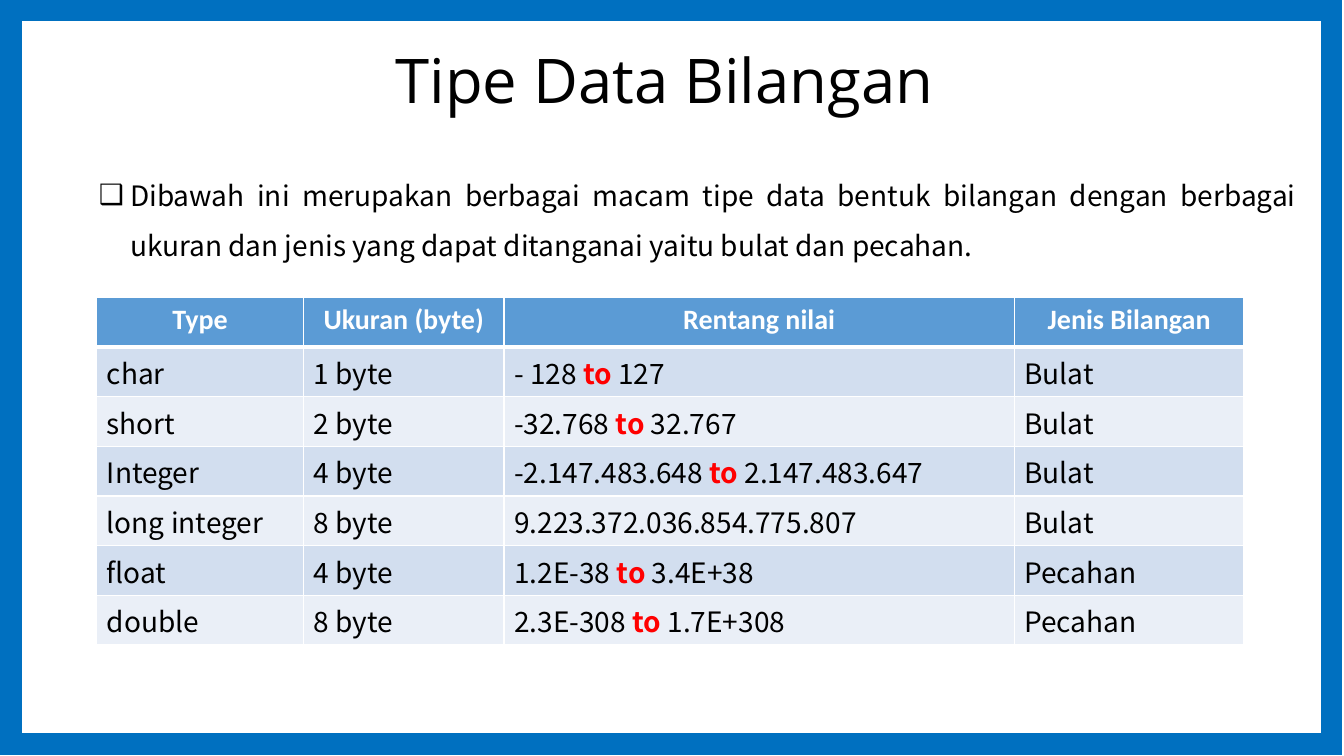
from lxml.etree import SubElement as Sub
from pptx import Presentation
from pptx.dml.color import RGBColor as Rgb
from pptx.enum.shapes import MSO_SHAPE as Shape
from pptx.enum.text import MSO_ANCHOR as Anchor, MSO_AUTO_SIZE as Fit, PP_ALIGN as Align
from pptx.oxml.ns import qn
from pptx.util import Inches, Pt

HUE = {"frame": "0070C0", "head": "5B9BD5", "odd": "D2DEEF", "even": "EAEFF7",
       "text": "000000", "mark": "FF0000", "white": "FFFFFF"}
SANS = "Noto Sans CJK JP"
HEAD = {"name": "Calibri", "size": Pt(20), "bold": True, "hue": "white"}
BODY = {"name": SANS, "size": Pt(20), "bold": False, "hue": "text"}
MARK = {**BODY, "bold": True, "hue": "mark"}
TITLE = {**BODY, "name": "Open Sans", "size": Pt(44)}
COLS = [2.05, 1.99, 5.06, 2.28]
ROWS = [
    ["Type", "Ukuran (byte)", "Rentang nilai", "Jenis Bilangan"],
    ["char", "1 byte", "- 128 to 127", "Bulat"],
    ["short", "2 byte", "-32.768 to 32.767", "Bulat"],
    ["Integer", "4 byte", "-2.147.483.648 to 2.147.483.647", "Bulat"],
    ["long integer", "8 byte", "9.223.372.036.854.775.807", "Bulat"],
    ["float", "4 byte", "1.2E-38 to 3.4E+38", "Pecahan"],
    ["double", "8 byte", "2.3E-308 to 1.7E+308", "Pecahan"],
]
INTRO = ("Dibawah ini merupakan berbagai macam tipe data bentuk bilangan dengan "
         "berbagai ukuran dan jenis yang dapat ditanganai yaitu bulat dan pecahan.")


def put(obj, form):
    """Set each attribute of obj from the format dict."""
    for key, val in form.items():
        if key == "hue":
            obj.color.rgb = Rgb.from_string(HUE[val])
        else:
            setattr(obj, key, val)


def write(para, text, form):
    """Add a run of formatted text to the paragraph."""
    run = para.add_run()
    run.text = text
    put(run.font, form)


def place(shape, box):
    """Move the shape to the box, given in inches."""
    put(shape, dict(zip(("left", "top", "width", "height"), map(Inches, box))))


def paint(fill, hue):
    """Fill with a solid colour."""
    fill.solid()
    fill.fore_color.rgb = Rgb.from_string(HUE[hue])


def edge(cell, low):
    """Draw white cell borders, the bottom one low points wide."""
    props = cell._tc.get_or_add_tcPr()
    for spot, (side, wide) in enumerate({"L": 1, "R": 1, "T": 1, "B": low}.items()):
        line = Sub(props, qn(f"a:ln{side}"), w=str(Pt(wide)))
        Sub(Sub(line, qn("a:solidFill")), qn("a:srgbClr"), val=HUE["white"])
        props.insert(spot, line)


def add_title(slide, box):
    """Place the slide title."""
    title = slide.shapes.title
    place(title, box)
    put(title.text_frame, {"vertical_anchor": Anchor.MIDDLE, "auto_size": Fit.NONE})
    para = title.text_frame.paragraphs[0]
    put(para, {"alignment": Align.CENTER, "line_spacing": 0.9})
    write(para, "Tipe Data Bilangan", TITLE)


def add_intro(slide, box):
    """Place the bulleted introduction."""
    body = slide.placeholders[1]
    place(body, box)
    put(body.text_frame, {"word_wrap": True, "auto_size": Fit.SHAPE_TO_FIT_TEXT})
    para = body.text_frame.paragraphs[0]
    put(para, {"alignment": Align.JUSTIFY, "line_spacing": 1.5, "space_before": Pt(0)})
    write(para, INTRO, BODY)
    props = para._p.get_or_add_pPr()
    props.set("marL", str(Inches(0.81)))
    props.set("indent", str(Inches(-0.31)))
    Sub(props, qn("a:buChar"), char="❑")


def add_types(slide, box):
    """Place the table of number types."""
    grid = slide.shapes.add_table(len(ROWS), len(COLS), *map(Inches, box)).table
    for col, wide in zip(grid.columns, COLS):
        col.width = Inches(wide)
    for r, row in enumerate(ROWS):
        for c, text in enumerate(row):
            cell = grid.cell(r, c)
            paint(cell.fill, "head" if r == 0 else "odd" if r % 2 else "even")
            edge(cell, 1 if r else 3)
            para = cell.text_frame.paragraphs[0]
            if r == 0:
                para.alignment = Align.CENTER
                write(para, text, HEAD)
                continue
            low, word, high = text.partition(" to ")
            write(para, low + " " if word else low, BODY)
            if word:
                write(para, "to", MARK)
                write(para, " " + high, BODY)


def add_frame(slide, box):
    """Draw the border around the slide."""
    frame = slide.shapes.add_shape(Shape.RECTANGLE, *map(Inches, box))
    frame.shadow.inherit = False
    frame.fill.background()
    put(frame.line, {"hue": "frame", "width": Pt(15.25)})
    Sub(frame.line._get_or_add_ln(), qn("a:miter"), lim="800000")


def build():
    """Build and save the slide."""
    deck = Presentation()
    put(deck, {"slide_width": Inches(13.33), "slide_height": Inches(7.5)})
    slide = deck.slides.add_slide(deck.slide_layouts[1])
    paint(slide.background.fill, "white")
    add_title(slide, (1.09, 0.43, 11.01, 0.8))
    add_types(slide, (0.96, 2.95, sum(COLS), 3.45))
    add_intro(slide, (0.38, 1.55, 12.58, 1.11))
    add_frame(slide, (0.11, 0.1, 13.1, 7.28))
    deck.save("out.pptx")


build()
